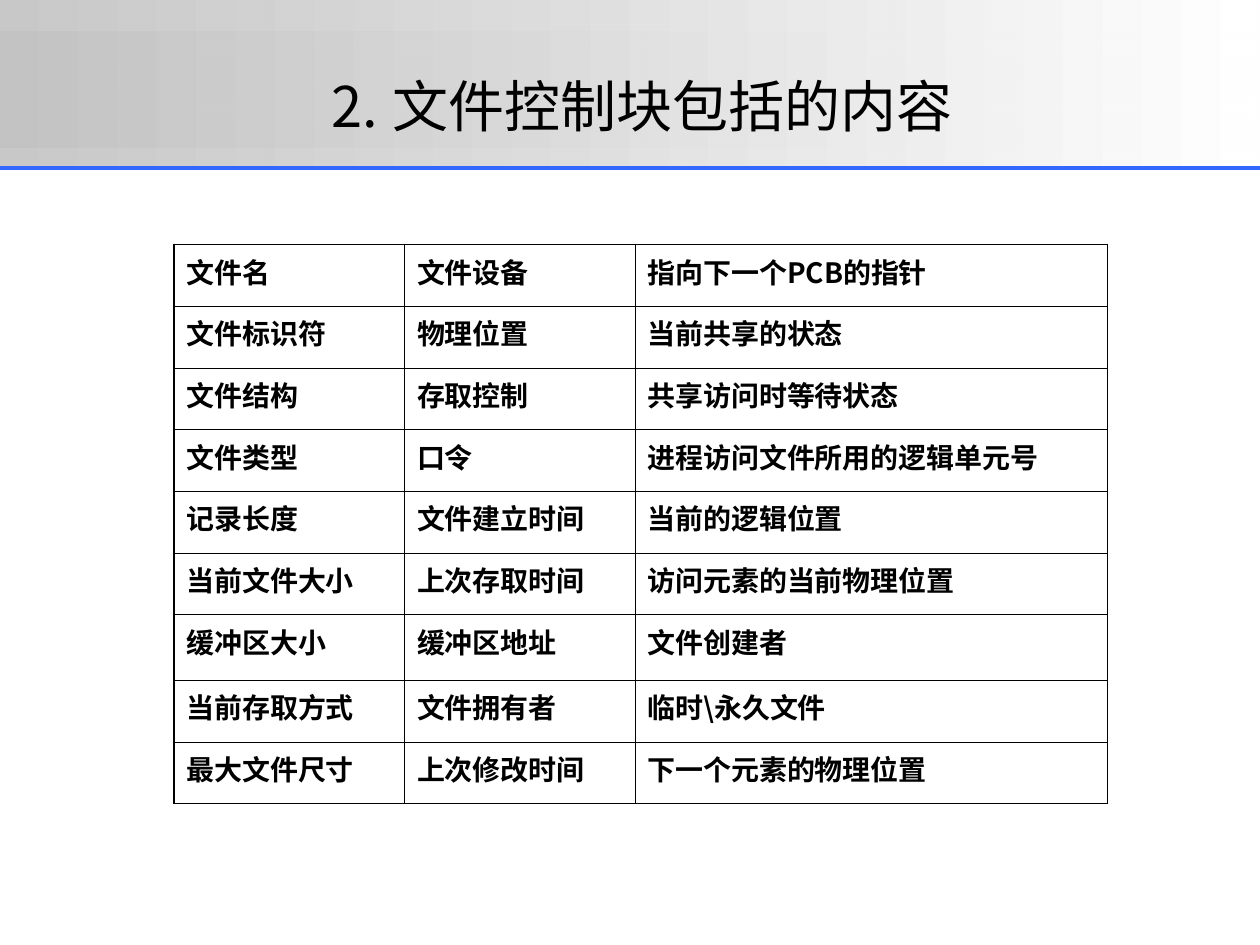
from dataclasses import dataclass

from lxml import etree
from pptx import Presentation
from pptx.dml.color import RGBColor
from pptx.enum.shapes import MSO_CONNECTOR, MSO_SHAPE
from pptx.enum.text import MSO_ANCHOR, PP_ALIGN
from pptx.oxml.ns import qn
from pptx.util import Inches, Pt

RECTANGLE = MSO_SHAPE.RECTANGLE
STRAIGHT = MSO_CONNECTOR.STRAIGHT
MIDDLE = MSO_ANCHOR.MIDDLE
CENTER = PP_ALIGN.CENTER


@dataclass(frozen=True)
class Theme:
    font: str = "Noto Sans CJK SC"
    ink: str = "000000"
    paper: str = "FFFFFF"
    band: str = "C0C0C0"
    rule: str = "3366FF"
    title_size: float = 32
    title_gap_size: float = 36
    cell_size: float = 16
    rule_width: float = 2.25
    outer_border: float = 1.08
    inner_border: float = 0.45


THEME = Theme()
SLIDE_WIDTH, SLIDE_HEIGHT = Inches(10), Inches(7.5)
HEADER_HEIGHT = Inches(1.33)
TITLE_RUNS = [
    (" 2.", THEME.title_size),
    (" ", THEME.title_gap_size),
    ("文件控制块包括的内容", THEME.title_size),
]
COLUMN_WIDTHS = [1.83, 1.83, 3.75]
ROW_HEIGHT, BUFFER_ROW_HEIGHT = 0.49, 0.52
BUFFER_ROW = 6
FIELDS = [
    ("文件名", "文件设备", "指向下一个PCB的指针"),
    ("文件标识符", "物理位置", "当前共享的状态"),
    ("文件结构", "存取控制", "共享访问时等待状态"),
    ("文件类型", "口令", "进程访问文件所用的逻辑单元号"),
    ("记录长度", "文件建立时间", "当前的逻辑位置"),
    ("当前文件大小", "上次存取时间", "访问元素的当前物理位置"),
    ("缓冲区大小", "缓冲区地址", "文件创建者"),
    ("当前存取方式", "文件拥有者", "临时\\永久文件"),
    ("最大文件尺寸", "上次修改时间", "下一个元素的物理位置"),
]


def style_run(run, size, bold=False):
    run.font.name = THEME.font
    run.font.size = Pt(size)
    run.font.bold = bold
    run.font.color.rgb = RGBColor.from_string(THEME.ink)
    east_asian = etree.SubElement(run.font._element, qn("a:ea"))
    east_asian.set("typeface", THEME.font)


def add_band(slide, top, height, opacity):
    band = slide.shapes.add_shape(RECTANGLE, 0, top, SLIDE_WIDTH, height)
    band.shadow.inherit = False
    band.line.fill.background()
    band.fill.gradient()
    band.fill.gradient_angle = 0
    start, end = band.fill.gradient_stops
    start.color.rgb = RGBColor.from_string(THEME.band)
    end.color.rgb = RGBColor.from_string(THEME.paper)
    start_color = band._element.spPr.find(".//" + qn("a:srgbClr"))
    etree.SubElement(start_color, qn("a:alpha")).set("val", str(opacity * 1000))


def add_header_rule(slide):
    rule = slide.shapes.add_connector(
        STRAIGHT, 0, HEADER_HEIGHT, SLIDE_WIDTH, HEADER_HEIGHT
    )
    rule.line.color.rgb = RGBColor.from_string(THEME.rule)
    rule.line.width = Pt(THEME.rule_width)
    etree.SubElement(rule._element.spPr, qn("a:effectLst"))


def add_title(slide):
    title = slide.shapes.add_textbox(
        Inches(1), Inches(0.25), Inches(8.09), Inches(1.12)
    )
    frame = title.text_frame
    frame.word_wrap = True
    frame.vertical_anchor = MIDDLE
    paragraph = frame.paragraphs[0]
    paragraph.alignment = CENTER
    for words, size in TITLE_RUNS:
        run = paragraph.add_run()
        run.text = words
        style_run(run, size)


def set_border(cell, side, width):
    border = etree.SubElement(cell._tc.get_or_add_tcPr(), qn(f"a:ln{side}"))
    border.set("w", str(int(Pt(width))))
    fill = etree.SubElement(border, qn("a:solidFill"))
    etree.SubElement(fill, qn("a:srgbClr")).set("val", THEME.ink)


def fill_cell(cell, words, outer_sides):
    for side in "LRTB":
        outer = side in outer_sides
        set_border(cell, side, THEME.outer_border if outer else THEME.inner_border)
    cell.fill.background()
    cell.text_frame.text = words
    style_run(cell.text_frame.paragraphs[0].runs[0], THEME.cell_size, bold=True)


def add_field_table(slide):
    heights = [ROW_HEIGHT] * len(FIELDS)
    heights[BUFFER_ROW] = BUFFER_ROW_HEIGHT
    table = slide.shapes.add_table(
        len(FIELDS), len(COLUMN_WIDTHS), Inches(1.38), Inches(1.94),
        Inches(sum(COLUMN_WIDTHS)), Inches(sum(heights)),
    ).table
    table.first_row = False
    table.horz_banding = False
    for column, width in zip(table.columns, COLUMN_WIDTHS):
        column.width = Inches(width)
    for row, height in zip(table.rows, heights):
        row.height = Inches(height)
    last_row, last_column = len(FIELDS) - 1, len(COLUMN_WIDTHS) - 1
    for r, fields in enumerate(FIELDS):
        for c, words in enumerate(fields):
            edges = {"L": c == 0, "R": c == last_column,
                     "T": r == 0, "B": r == last_row}
            outer_sides = [side for side, outer in edges.items() if outer]
            fill_cell(table.cell(r, c), words, outer_sides)


def main():
    deck = Presentation()
    deck.slide_width, deck.slide_height = SLIDE_WIDTH, SLIDE_HEIGHT
    slide = deck.slides.add_slide(deck.slide_layouts[6])
    add_band(slide, 0, HEADER_HEIGHT, opacity=86)
    add_band(slide, Inches(0.25), Inches(0.92), opacity=59)
    add_header_rule(slide)
    add_title(slide)
    add_field_table(slide)
    deck.save("out.pptx")


if __name__ == "__main__":
    main()
